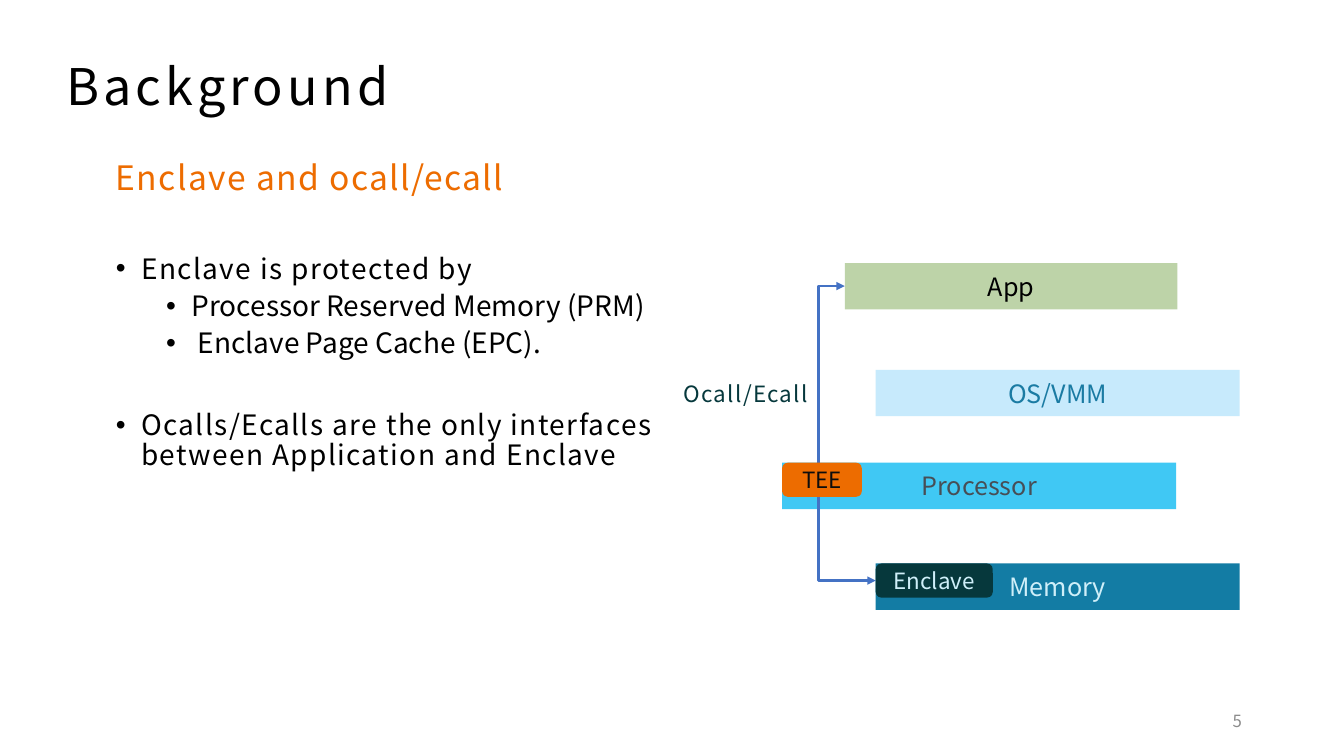
from pptx import Presentation
from pptx.dml.color import RGBColor
from pptx.enum.shapes import MSO_CONNECTOR, MSO_SHAPE
from pptx.enum.text import MSO_ANCHOR, PP_ALIGN
from pptx.oxml.ns import qn
from pptx.util import Cm, Pt
from lxml import etree

RECT, ROUND = MSO_SHAPE.RECTANGLE, MSO_SHAPE.ROUNDED_RECTANGLE
ELBOW = MSO_CONNECTOR.ELBOW
LEFT, MID, RIGHT = PP_ALIGN.LEFT, PP_ALIGN.CENTER, PP_ALIGN.RIGHT
TOP, CENTER = MSO_ANCHOR.TOP, MSO_ANCHOR.MIDDLE

FONT = "Noto Sans CJK SC"
BLACK = RGBColor(0x00, 0x00, 0x00)
INK = RGBColor(0x0D, 0x0D, 0x0D)
GREY = RGBColor(0x8C, 0x8C, 0x8C)
SLATE = RGBColor(0x47, 0x4E, 0x56)
ORANGE = RGBColor(0xED, 0x6C, 0x00)
GREEN = RGBColor(0xBD, 0xD3, 0xA8)
PALE = RGBColor(0xC7, 0xEA, 0xFC)
ICE = RGBColor(0xCF, 0xEF, 0xF9)
SKY = RGBColor(0x40, 0xC8, 0xF4)
BLUE = RGBColor(0x44, 0x72, 0xC4)
TEAL = RGBColor(0x1A, 0x7B, 0xA3)
DEEP = RGBColor(0x13, 0x7C, 0xA4)
DARK = RGBColor(0x06, 0x38, 0x3C)

deck = Presentation()
deck.slide_width, deck.slide_height = Cm(33.87), Cm(19.05)
slide = deck.slides.add_slide(deck.slide_layouts[6])
shapes = slide.shapes


def add_run(para, text, size, color, gap=0):
    """Add one run; gap is the letter spacing in points."""
    run = para.add_run()
    run.text = text
    run.font.name, run.font.size = FONT, Pt(size)
    run.font.color.rgb = color
    if gap:
        run.font._element.set("spc", str(gap * 100))


def add_box(kind, x, y, w, h, fill, text, size, color):
    """Add a filled shape with centred text."""
    box = shapes.add_shape(kind, Cm(x), Cm(y), Cm(w), Cm(h))
    box.shadow.inherit = False
    box.fill.solid()
    box.fill.fore_color.rgb = fill
    box.line.fill.background()
    box.text_frame.vertical_anchor = CENTER
    para = box.text_frame.paragraphs[0]
    para.alignment = MID
    add_run(para, text, size, color)


# Bars of the system stack
BAR, CHIP = 1.17, 0.86
for x, y, w, fill, text, color in [
    (21.29, 6.63, 8.38, GREEN, "App", BLACK),
    (22.07, 9.32, 9.17, PALE, "OS/VMM", TEAL),
    (19.71, 11.66, 9.93, SKY, "Processor", SLATE),
    (22.07, 14.2, 9.17, DEEP, "Memory", ICE),
]:
    add_box(RECT, x, y, w, BAR, fill, text, 18, color)

# Two-way arrow from App to Enclave, bent out to the left
arrow = shapes.add_connector(ELBOW, Cm(21.29), Cm(7.21), Cm(22.07), Cm(14.63))
arrow.line.color.rgb = BLUE
arrow.line.width = Pt(2)
props = arrow._element.spPr
bend = props.find(qn("a:prstGeom")).get_or_add_avLst()
etree.SubElement(bend, qn("a:gd"), name="adj1", fmla="val -83900")
for end in ("a:headEnd", "a:tailEnd"):
    etree.SubElement(props.find(qn("a:ln")), qn(end), type="triangle")
etree.SubElement(props, qn("a:effectLst"))

# Chips on the bars
add_box(ROUND, 19.71, 11.66, 2.01, CHIP, ORANGE, "TEE", 16, INK)
add_box(ROUND, 22.07, 14.2, 2.95, CHIP, DARK, "Enclave", 16, ICE)

# Text boxes: each line is text, level, space before
TITLE = [("Background", None, 10)]
HEAD = [("Enclave and ocall/ecall", None, 10)]
LABEL = [("Ocall/Ecall", None, 0)]
PAGE = [("5", None, 0)]
POINTS = [
    ("Enclave is protected by", 0, 10),
    ("Processor Reserved Memory (PRM)", 1, 5),
    (" Enclave Page Cache (EPC).", 1, 5),
    ("Ocalls/Ecalls are the only interfaces between Application and Enclave", 0, 37),
]
for x, y, w, h, lines, size, color, gap, align, anchor in [
    (1.42, 1.45, 29.51, 2.49, TITLE, 36, BLACK, 3, LEFT, TOP),
    (2.67, 3.94, 26.77, 1.83, HEAD, 24, ORANGE, 1, LEFT, TOP),
    (2.67, 6.3, 14.43, 9.6, POINTS, 20, BLACK, 1, LEFT, TOP),
    (16.97, 9.45, 4.32, 0.94, LABEL, 16, DARK, 1, LEFT, TOP),
    (23.93, 17.65, 7.62, 1.02, PAGE, 12, GREY, 0, RIGHT, CENTER),
]:
    frame = shapes.add_textbox(Cm(x), Cm(y), Cm(w), Cm(h)).text_frame
    frame.word_wrap = True
    frame.vertical_anchor = anchor
    for i, (text, level, before) in enumerate(lines):
        para = frame.add_paragraph() if i else frame.paragraphs[0]
        para.alignment = align
        if before:
            para.line_spacing, para.space_before = 0.9, Pt(before)
        if level is not None:
            para.level = level
            form = para._p.get_or_add_pPr()
            form.set("marL", str(Cm(0.64 + 1.27 * level)))
            form.set("indent", str(-Cm(0.64)))
            etree.SubElement(form, qn("a:buFont"), typeface="Arial")
            etree.SubElement(form, qn("a:buChar"), char="•")
        add_run(para, text, size, color, 0 if level else gap)

deck.save("out.pptx")
